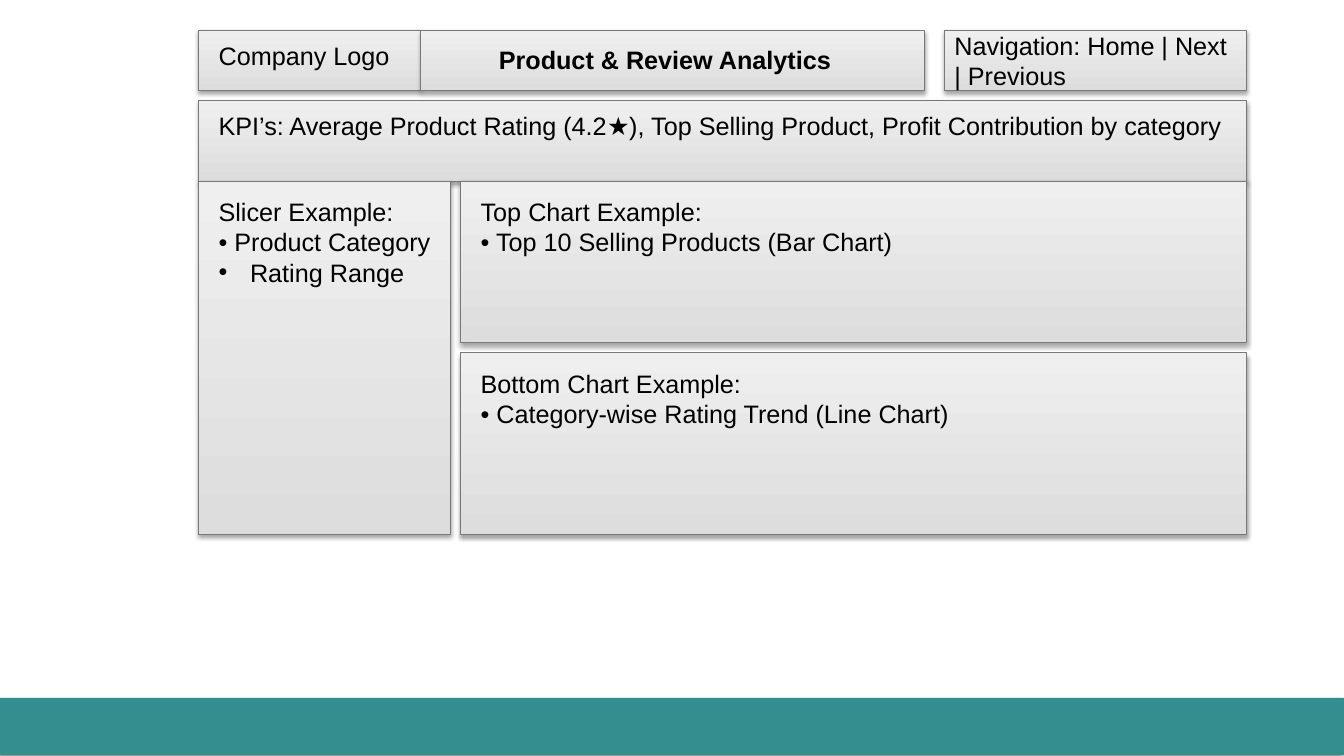
import pptx
import pptx.util
import pptx.dml.color
import pptx.enum.shapes
import pptx.enum.text
import pptx.oxml
import pptx.oxml.ns
import lxml.etree

Pt = pptx.util.Pt
LEFT, TOP, WIDTH = 141.84, 21.6, 748.8
GAP = 7.2
BULLET = "\u2022"


def rgb(color):
    """Turn a hex string into a colour."""
    return pptx.dml.color.RGBColor.from_string(color)


def add_shadow(sp, alpha, blur, dist, angle):
    """Give a shape a black outer shadow."""
    sp.shadow.inherit = False
    effects = sp._element.spPr.find(pptx.oxml.ns.qn("a:effectLst"))
    effects.append(pptx.oxml.parse_xml(
        f'<a:outerShdw {pptx.oxml.ns.nsdecls("a")} blurRad="{Pt(blur)}" dist="{Pt(dist)}" '
        f'dir="{angle * 60000}" rotWithShape="0"><a:srgbClr val="000000">'
        f'<a:alpha val="{alpha * 1000}"/></a:srgbClr></a:outerShdw>'))


def add_rect(slide, x, y, w, h):
    """Add a plain rectangle."""
    return slide.shapes.add_shape(
        pptx.enum.shapes.MSO_SHAPE.RECTANGLE, Pt(x), Pt(y), Pt(w), Pt(h))


def add_panel(slide, x, y, w, h):
    """Add a grey gradient panel."""
    sp = add_rect(slide, x, y, w, h)
    sp.fill.gradient()
    sp.fill.gradient_angle = 90
    for stop, color in zip(sp.fill.gradient_stops, ("DDDDDD", "EFEFEF")):
        stop.color.rgb = rgb(color)
    sp.line.color.rgb = rgb("787878")
    sp.line.width = Pt(0.75)
    add_shadow(sp, 35, 3.15, 1.8, 90)


def add_text(slide, x, y, w, h, lines, size=18, bold=False, color="000000",
             font="Arial", wrap=False, bulleted=()):
    """Add a text box with one paragraph per line."""
    tf = slide.shapes.add_textbox(Pt(x), Pt(y), Pt(w), Pt(h)).text_frame
    tf.word_wrap = wrap
    tf.auto_size = pptx.enum.text.MSO_AUTO_SIZE.SHAPE_TO_FIT_TEXT
    for i, line in enumerate(lines):
        p = tf.add_paragraph() if i else tf.paragraphs[0]
        r = p.add_run()
        r.text = line
        r.font.name, r.font.size, r.font.bold = font, Pt(size), bold
        r.font.color.rgb = rgb(color)
        if i in bulleted:
            pPr = p._p.get_or_add_pPr()
            pPr.set("marL", str(Pt(22.5)))
            pPr.set("indent", str(Pt(-22.5)))
            qn = pptx.oxml.ns.qn
            lxml.etree.SubElement(pPr, qn("a:buFont"), typeface="Arial")
            lxml.etree.SubElement(pPr, qn("a:buChar"), char=BULLET)


def add_header(slide, x, y, w, h):
    """Place the logo, title and navigation panels."""
    logo_w, title_w, nav_w = 158.4, 360, 216
    title_x, nav_x = x + logo_w, x + w - nav_w
    add_panel(slide, x, y, logo_w, h)
    add_text(slide, x + GAP, y + 3.6, 137.5, 29, ["Company Logo"])
    add_panel(slide, title_x, y, title_w, h)
    add_text(slide, title_x + 49, y + 6.5, 259.2, 29,
             ["Product & Review Analytics"], bold=True)
    add_panel(slide, nav_x, y, nav_w, h)
    add_text(slide, nav_x, y - 3.6, nav_w, 51,
             ["Navigation: Home | Next | Previous"], wrap=True)


def add_kpis(slide, x, y, w, h):
    """Place the KPI band."""
    add_panel(slide, x, y, w, h)
    add_text(slide, x + GAP, y + 3.6, w - GAP, h, [
        "KPI’s: Average Product Rating (4.2★), Top Selling Product, "
        "Profit Contribution by category"], wrap=True)


def add_example(slide, x, y, w, h, text_w, lines, bulleted=()):
    """Place a panel with an example list at its top left."""
    add_panel(slide, x, y, w, h)
    add_text(slide, x + GAP, y + GAP, text_w, 51, lines, bulleted=bulleted)


def add_body(slide, x, y, w, h):
    """Place the slicer panel and the two chart panels."""
    slicer_w, top_h = 180, 115.2
    chart_x, chart_w = x + slicer_w + GAP, w - slicer_w - GAP
    add_example(slide, x, y, slicer_w, h, 172,
                ["Slicer Example:", "• Product Category", "Rating Range"], bulleted=(2,))
    add_example(slide, chart_x, y, chart_w, top_h, 311,
                ["Top Chart Example:", "• Top 10 Selling Products (Bar Chart)"])
    add_example(slide, chart_x, y + top_h + GAP, chart_w, h - top_h - GAP, 352,
                ["Bottom Chart Example:", "• Category-wise Rating Trend (Line Chart)"])


def add_footer(slide, x, y, w, h):
    """Place the teal footer band."""
    sp = add_rect(slide, x, y, w, h)
    sp.fill.solid()
    sp.fill.fore_color.rgb = rgb("348E90")
    sp.line.fill.background()
    add_shadow(sp, 40, 4, 3, 135)


def main():
    """Build the slide and save it."""
    prs = pptx.Presentation()
    prs.slide_width, prs.slide_height = Pt(960), Pt(540)
    slide = prs.slides.add_slide(prs.slide_layouts[6])
    add_footer(slide, 0, 498.5, 960, 41)
    add_header(slide, LEFT, TOP, WIDTH, 43.2)
    add_kpis(slide, LEFT, 72, WIDTH, 57.6)
    add_body(slide, LEFT, 129.6, WIDTH, 252)
    prs.save("out.pptx")


if __name__ == "__main__":
    main()
